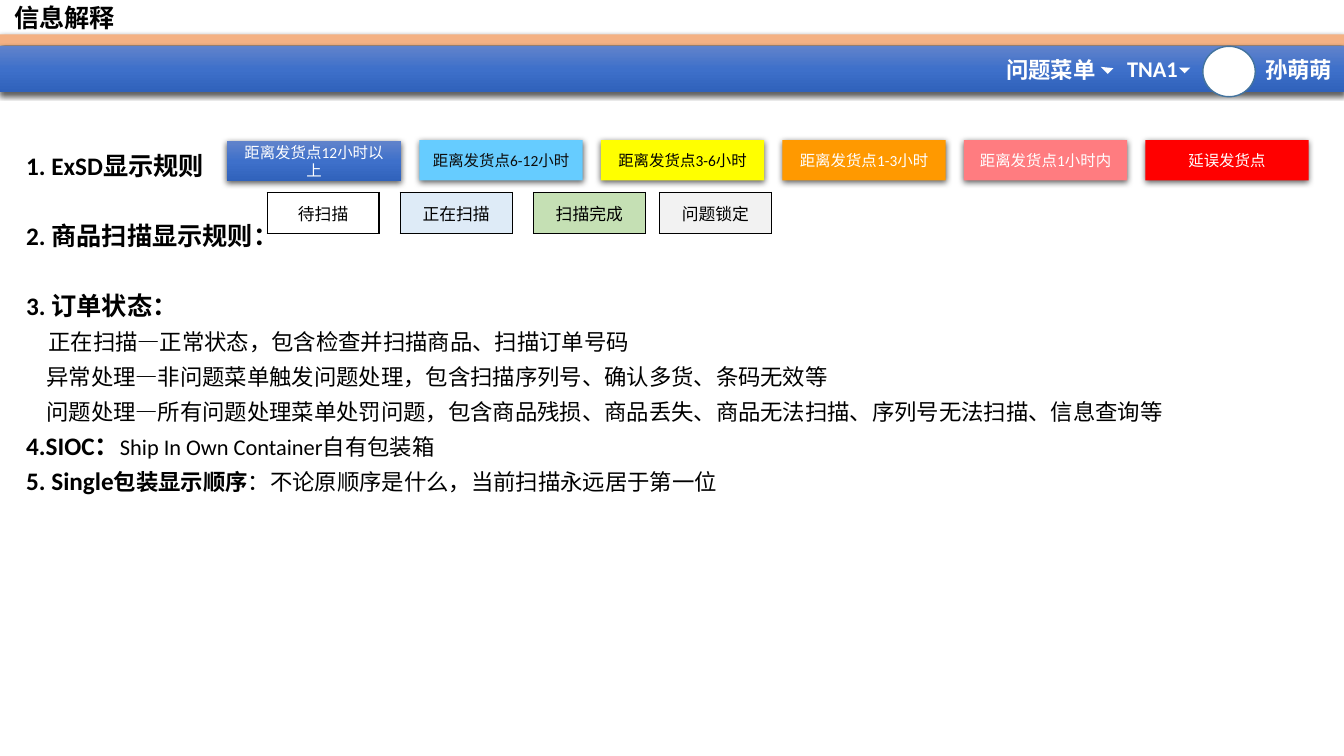
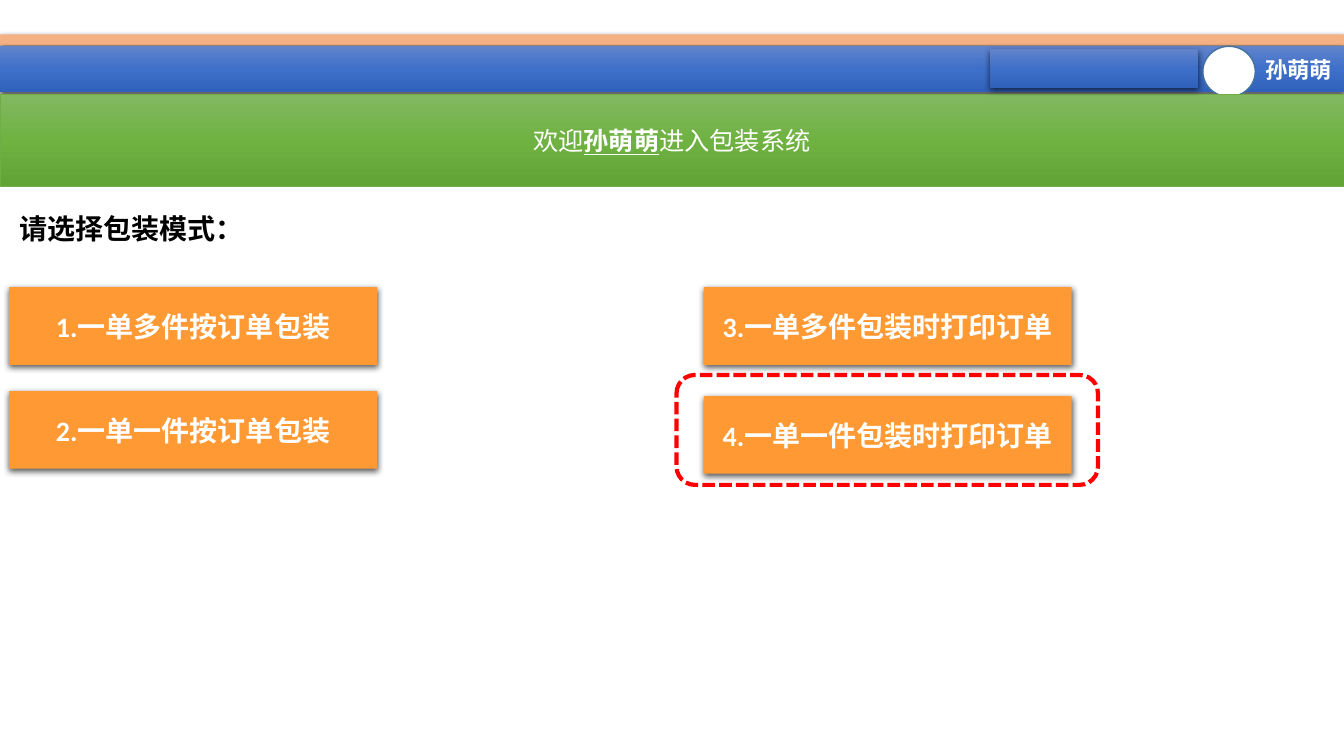
from pptx import Presentation
from pptx import util as u
from pptx.dml import color
from pptx.enum import dml, shapes, text
from pptx.oxml import parse_xml
from pptx.oxml.ns import nsdecls

FONT = "Calibri"
WHITE, BLACK, RED, ORANGE = "FFFFFF", "000000", "FF0000", "FF9933"
BLUE = ("6183CB", "3E70CA", "3062BB")
GREEN = ("81B861", "6FB242", "62A336")
KIND = shapes.MSO_SHAPE
MID, TOP = text.MSO_ANCHOR.MIDDLE, text.MSO_ANCHOR.TOP
LEFT, MIDST = text.PP_ALIGN.LEFT, text.PP_ALIGN.CENTER
HEAD = {"size": 18, "bold": True}
PLAIN = {"size": 16, "bold": False}
NAME = {"size": 16, "bold": True, "color": WHITE}


def box(at):
    return [u.Inches(n) for n in at]


def paint(fill, tint):
    fill.solid()
    fill.fore_color.rgb = color.RGBColor.from_string(tint)


def blend(shape, tints):
    """Fill a shape with a downward gradient of evenly spaced colours."""
    step = 100000 // (len(tints) - 1)
    stops = "".join(f'<a:gs pos="{i * step}"><a:srgbClr val="{tint}"/></a:gs>'
                    for i, tint in enumerate(tints))
    shape.fill.background()
    props = shape.element.spPr
    props.replace(props.xpath("a:noFill")[0], parse_xml(
        f'<a:gradFill {nsdecls("a")} rotWithShape="1"><a:gsLst>{stops}</a:gsLst>'
        '<a:lin ang="5400000" scaled="0"/></a:gradFill>'))


def shade(shape):
    """Give a shape the soft drop shadow."""
    shape.element.spPr.xpath("a:effectLst")[0].append(parse_xml(
        f'<a:outerShdw {nsdecls("a")} blurRad="57150" dist="19050" dir="5400000"'
        ' algn="ctr" rotWithShape="0"><a:srgbClr val="000000">'
        '<a:alpha val="63000"/></a:srgbClr></a:outerShdw>'))


def style(font, look):
    for key, val in {"name": FONT, "color": BLACK, **look}.items():
        if key == "color":
            paint(font.fill, val)
        else:
            setattr(font, key, u.Pt(val) if key == "size" else val)


def write(para, runs, look, **form):
    """Fill a paragraph with (words, changes to the look) runs."""
    for key, val in form.items():
        setattr(para, key, val)
    for words, change in runs:
        run = para.add_run()
        run.text = words
        style(run.font, {**look, **change})


def frame(shape, **form):
    area = shape.text_frame
    for key, val in form.items():
        setattr(area, key, val)
    return area


def add(slide, at, fill=None, kind=KIND.RECTANGLE, line=None, thick=1, shadow=False):
    shape = slide.shapes.add_shape(kind, *box(at))
    shape.shadow.inherit = False
    if fill is None:
        shape.fill.background()
    elif isinstance(fill, tuple):
        blend(shape, fill)
    else:
        paint(shape.fill, fill)
    if line:
        paint(shape.line.fill, line)
        shape.line.width = u.Pt(thick)
    else:
        shape.line.fill.background()
    if shadow:
        shade(shape)
    return shape


def panel(slide, at, fill, runs, look, **extra):
    area = frame(add(slide, at, fill, **extra), word_wrap=True, vertical_anchor=MID)
    write(area.paragraphs[0], runs, look, alignment=MIDST)


def label(slide, at, words):
    area = frame(slide.shapes.add_textbox(*box(at)), word_wrap=False,
                 auto_size=text.MSO_AUTO_SIZE.SHAPE_TO_FIT_TEXT)
    write(area.paragraphs[0], [(words, {})], NAME)


def place(holder, at, anchor):
    """Move a placeholder and return its text frame."""
    holder.left, holder.top, holder.width, holder.height = box(at)
    return frame(holder, word_wrap=True, vertical_anchor=anchor,
                 auto_size=text.MSO_AUTO_SIZE.NONE)


def title(slide, at, words, size, anchor, space):
    area = place(slide.shapes.title, at, anchor)
    write(area.paragraphs[0], [(words, {})], {"size": size, "bold": True},
          alignment=LEFT, line_spacing=space)


def tag(slide, at, fill, words):
    """Add a one-cell table with a black border."""
    table = slide.shapes.add_table(1, 1, *box(at)).table
    table.first_row = table.horz_banding = False
    cell = table.cell(0, 0)
    cell.vertical_anchor = MID
    write(cell.text_frame.paragraphs[0], [(words, {})], {"size": 12}, alignment=MIDST)
    paint(cell.fill, fill)
    props = cell._tc.get_or_add_tcPr()
    for i, side in enumerate("LRTB"):
        props.insert(i, parse_xml(
            f'<a:ln{side} {nsdecls("a")} w="12700"><a:solidFill>'
            f'<a:srgbClr val="{BLACK}"/></a:solidFill></a:ln{side}>'))


def header(deck, slide):
    """Draw the shared bands and move them to the master."""
    old = len(slide.shapes)
    add(slide, (0, 0.34, 13.33, 0.11), "F4B183", shadow=True)
    add(slide, (0, 0.46, 13.33, 0.45), BLUE, shadow=True)
    label(slide, (12.45, 0.51, 0.88, 0.37), "孙萌萌")
    add(slide, (11.93, 0.46, 0.52, 0.5), WHITE, KIND.OVAL, "43739E")
    for at in ((11.71, 0.63, 0.08, 0.08), (10.94, 0.62, 0.08, 0.1)):
        add(slide, at, WHITE, KIND.RIGHT_TRIANGLE).rotation = 314.5
    tree = deck.slide_master.element.cSld.spTree
    for i, shape in enumerate(list(slide.shapes)[old:]):
        shape.element.xpath(".//p:cNvPr")[0].set("id", str(100 + i))
        tree.append(shape.element)


def rules(holder):
    """Write the numbered rules, each as (gap, indent, runs)."""
    area = place(holder, (0.16, 1.39, 12.91, 5.21), TOP)
    lines = [
        (0, 0, [("1. ExSD显示规则", HEAD)]),
        (25, 0, [("2. 商品扫描显示规则：", HEAD)]),
        (25, 0, [("3. 订单状态：", HEAD)]),
        (0, 0.22, [("正在扫描—正常状态，包含检查并扫描商品、扫描订单号码", {})]),
        (0, 0.2, [("异常处理—非问题菜单触发问题处理，包含扫描序列号、确认多货、条码无效等", {})]),
        (0, 0.2, [("问题处理—所有问题处理菜单处罚问题，包含商品残损、商品丢失、"
                   "商品无法扫描、序列号无法扫描、信息查询等", {})]),
        (0, 0, [("4.SIOC：", HEAD), ("Ship In Own Container自有包装箱", {})]),
        (0, 0, [("5. Single", HEAD), ("包装显示顺序", {"bold": True}),
                ("：不论原顺序是什么，当前扫描永远居于第一位", {})]),
    ]
    for i, (gap, dent, runs) in enumerate(lines):
        para = area.add_paragraph() if i else area.paragraphs[0]
        write(para, runs, PLAIN, alignment=LEFT, line_spacing=u.Pt(25),
              space_before=u.Pt(gap), space_after=u.Pt(0))
        props = para._p.get_or_add_pPr()
        props.set("marL", str(u.Inches(dent)))
        props.set("indent", "0")
        props.append(parse_xml(f'<a:buNone {nsdecls("a")}/>'))


def guide(slide):
    title(slide, (0.04, -0.01, 11.5, 0.4), "信息解释", 18, MID, 0.9)
    label(slide, (9.88, 0.51, 1.09, 0.37), "问题菜单")
    label(slide, (11.08, 0.5, 0.71, 0.37), "TNA1")
    rules(slide.placeholders[1])
    tags = [(2.65, WHITE, "待扫描"), (3.97, "DEEBF7", "正在扫描"),
            (5.29, "C5E0B4", "扫描完成"), (6.54, "F2F2F2", "问题锁定")]
    for left, fill, words in tags:
        tag(slide, (left, 1.91, 1.11, 0.41), fill, words)
    panel(slide, (2.25, 1.4, 1.73, 0.4), BLUE, [("距离发货点12小时以上", {})],
          {"size": 11, "color": WHITE}, shadow=True)
    chips = [("66CCFF", "0D0D0D", "距离发货点6-12小时"),
             ("FFFF00", BLACK, "距离发货点3-6小时"),
             ("FF9900", WHITE, "距离发货点1-3小时"),
             ("FF7C80", WHITE, "距离发货点1小时内"),
             (RED, WHITE, "延误发货点")]
    for i, (fill, ink, words) in enumerate(chips):
        panel(slide, (4.16 + 1.8 * i, 1.39, 1.62, 0.4), fill, [(words, {})],
              {"size": 11, "color": ink}, shadow=True)


def modes(slide):
    panel(slide, (0, 0.94, 13.33, 0.91), GREEN,
          [("欢迎", {}), ("孙萌萌", {"bold": True, "underline": True}),
           ("进入包装系统", {})],
          {"size": 18, "color": WHITE}, line="70AD47", thick=0.5)
    title(slide, (0.09, 2.05, 3.87, 0.44), "请选择包装模式：", 20, TOP, 1.0)
    picks = [(0.09, 2.85, "1.一单多件按订单包装"), (0.09, 3.88, "2.一单一件按订单包装"),
             (6.98, 2.85, "3.一单多件包装时打印订单"), (6.98, 3.93, "4.一单一件包装时打印订单")]
    for left, top, words in picks:
        panel(slide, (left, top, 3.65, 0.77), ORANGE, [(words, {})],
              {"size": 20, "bold": True, "color": WHITE}, shadow=True)
    add(slide, (9.82, 0.49, 2.06, 0.38), BLUE, shadow=True)
    ring = add(slide, (6.71, 3.72, 4.18, 1.09), kind=KIND.ROUNDED_RECTANGLE,
               line=RED, thick=3)
    ring.line.dash_style = dml.MSO_LINE.SQUARE_DOT


def main():
    deck = Presentation()
    deck.slide_width, deck.slide_height = box((13.33, 7.5))
    first = deck.slides.add_slide(deck.slide_layouts[1])
    header(deck, first)
    guide(first)
    modes(deck.slides.add_slide(deck.slide_layouts[5]))
    deck.save("out.pptx")


if __name__ == "__main__":
    main()
